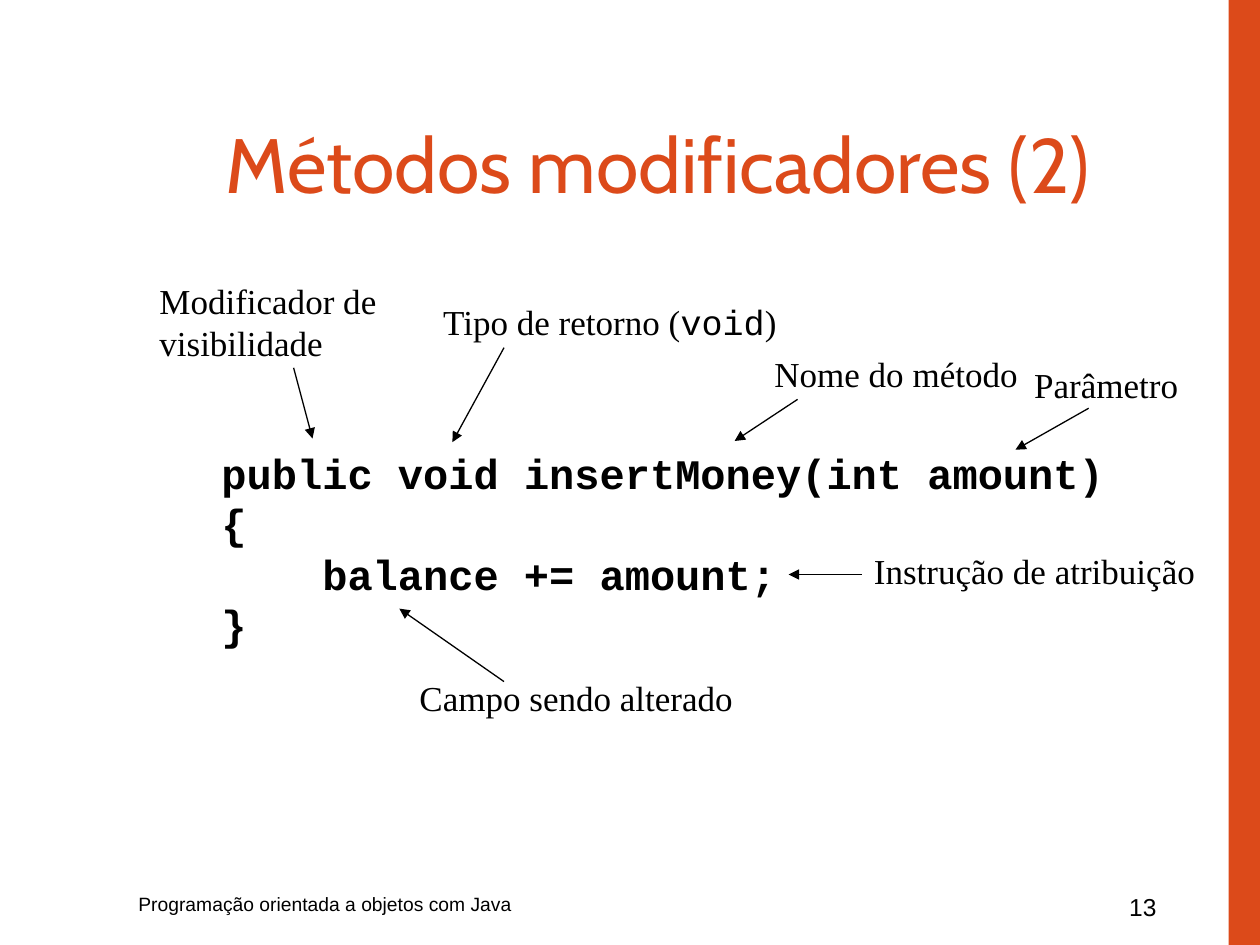
import pptx
import pptx.dml.color
import pptx.enum.shapes
import pptx.enum.text
import pptx.oxml.ns
import pptx.util
from lxml import etree

Pt = pptx.util.Pt
RGBColor = pptx.dml.color.RGBColor
ALIGN = pptx.enum.text.PP_ALIGN
ORANGE = RGBColor(0xDC, 0x4A, 0x1A)
BLACK = RGBColor(0, 0, 0)
SERIF, MONO, SANS = "Times New Roman", "Courier New", "Arial"
CODE_INDENT = 57.6

LABELS = [
    (246.2, 168, 207, 31.7, [[("Tipo de retorno (", SERIF), ("void", MONO), (")", SERIF)]]),
    (435.4, 198, 156, 31.7, [[("Nome do método", SERIF)]]),
    (583.9, 204, 100, 31.7, [[("Parâmetro", SERIF)]]),
    (84, 156.2, 142, 55.4, [[("Modificador de", SERIF)], [("visibilidade", SERIF)]]),
    (492.3, 310.3, 200, 31.7, [[("Instrução de atribuição", SERIF)]]),
    (232.6, 383, 196, 31.7, [[("Campo sendo alterado", SERIF)]]),
]
ARROWS = [
    (288, 198.7, 258.5, 252.7),
    (455.8, 228.2, 419.8, 252),
    (622.1, 233.3, 580.3, 257),
    (167.8, 210.2, 178.6, 250.6),
    (492.5, 328.3, 450.7, 328.3),
    (288, 389.5, 228.2, 347.8),
]
CODE = [
    ("public void insertMoney(int amount)", 0),
    ("{", 0),
    ("balance += amount;", CODE_INDENT),
    ("}", 0),
]


def add_run(p, text, *, font, size, color=BLACK, bold=False):
    r = p.add_run()
    r.text = text
    r.font.name = font
    r.font.size = Pt(size)
    r.font.bold = bold
    r.font.color.rgb = color


class SlideBuilder:
    def __init__(self, s):
        self.s = s
        self.line_color = BLACK
        self.line_width = 0.75
        self.label_size = 20
        self.code_size = 24

    def title(self, x, y, w, h, text):
        sp = self.s.shapes.title
        sp.left, sp.top, sp.width, sp.height = Pt(x), Pt(y), Pt(w), Pt(h)
        tf = sp.text_frame
        tf.vertical_anchor = pptx.enum.text.MSO_ANCHOR.MIDDLE
        p = tf.paragraphs[0]
        p.alignment = ALIGN.CENTER
        add_run(p, text, font="Cabin", size=44, color=ORANGE)

    def bar(self, x, y, w, h):
        sp = self.s.shapes.add_shape(
            pptx.enum.shapes.MSO_SHAPE.RECTANGLE, Pt(x), Pt(y), Pt(w), Pt(h))
        sp.shadow.inherit = False
        sp.fill.solid()
        sp.fill.fore_color.rgb = ORANGE
        sp.line.fill.background()

    def box(self, x, y, w, h, wrap=False):
        tf = self.s.shapes.add_textbox(Pt(x), Pt(y), Pt(w), Pt(h)).text_frame
        tf.word_wrap = wrap
        if not wrap:
            tf.auto_size = pptx.enum.text.MSO_AUTO_SIZE.SHAPE_TO_FIT_TEXT
        return tf

    def paragraph(self, tf, i):
        return tf.add_paragraph() if i else tf.paragraphs[0]

    def label(self, x, y, w, h, lines):
        tf = self.box(x, y, w, h)
        for i, runs in enumerate(lines):
            p = self.paragraph(tf, i)
            p.alignment = ALIGN.LEFT
            for text, font in runs:
                add_run(p, text, font=font, size=self.label_size)

    def code(self, x, y, w, h, lines):
        tf = self.box(x, y, w, h)
        for i, (text, indent) in enumerate(lines):
            p = self.paragraph(tf, i)
            if indent:
                p._p.get_or_add_pPr().set("marL", str(Pt(indent)))
            add_run(p, text, font=MONO, size=self.code_size, bold=True)

    def footer(self, x, y, w, h, text, size, align=ALIGN.LEFT):
        p = self.box(x, y, w, h, wrap=True).paragraphs[0]
        p.alignment = align
        add_run(p, text, font=SANS, size=size)

    def arrow(self, x1, y1, x2, y2):
        qn = pptx.oxml.ns.qn
        c = self.s.shapes.add_connector(
            pptx.enum.shapes.MSO_CONNECTOR.STRAIGHT, Pt(x1), Pt(y1), Pt(x2), Pt(y2))
        c.line.color.rgb = self.line_color
        c.line.width = Pt(self.line_width)
        etree.SubElement(c.line._get_or_add_ln(), qn("a:tailEnd"), type="triangle")
        etree.SubElement(c._element.spPr, qn("a:effectLst"))


def main():
    prs = pptx.Presentation()
    prs.slide_width, prs.slide_height = Pt(720), Pt(540)
    slide = SlideBuilder(prs.slides.add_slide(prs.slide_layouts[5]))
    slide.footer(630, 506.2, 41.8, 23.8, "13 ", 14, ALIGN.RIGHT)
    slide.bar(702, 0, 18, 540)
    slide.title(77.8, 48.2, 606.2, 90, "Métodos modificadores (2) ")
    slide.code(119.5, 252.2, 518.4, 122.4, CODE)
    for label in LABELS:
        slide.label(*label)
    for arrow in ARROWS:
        slide.arrow(*arrow)
    slide.footer(72, 506.2, 612, 23.8, "Programação orientada a objetos com Java", 11)
    prs.save("out.pptx")


if __name__ == "__main__":
    main()
